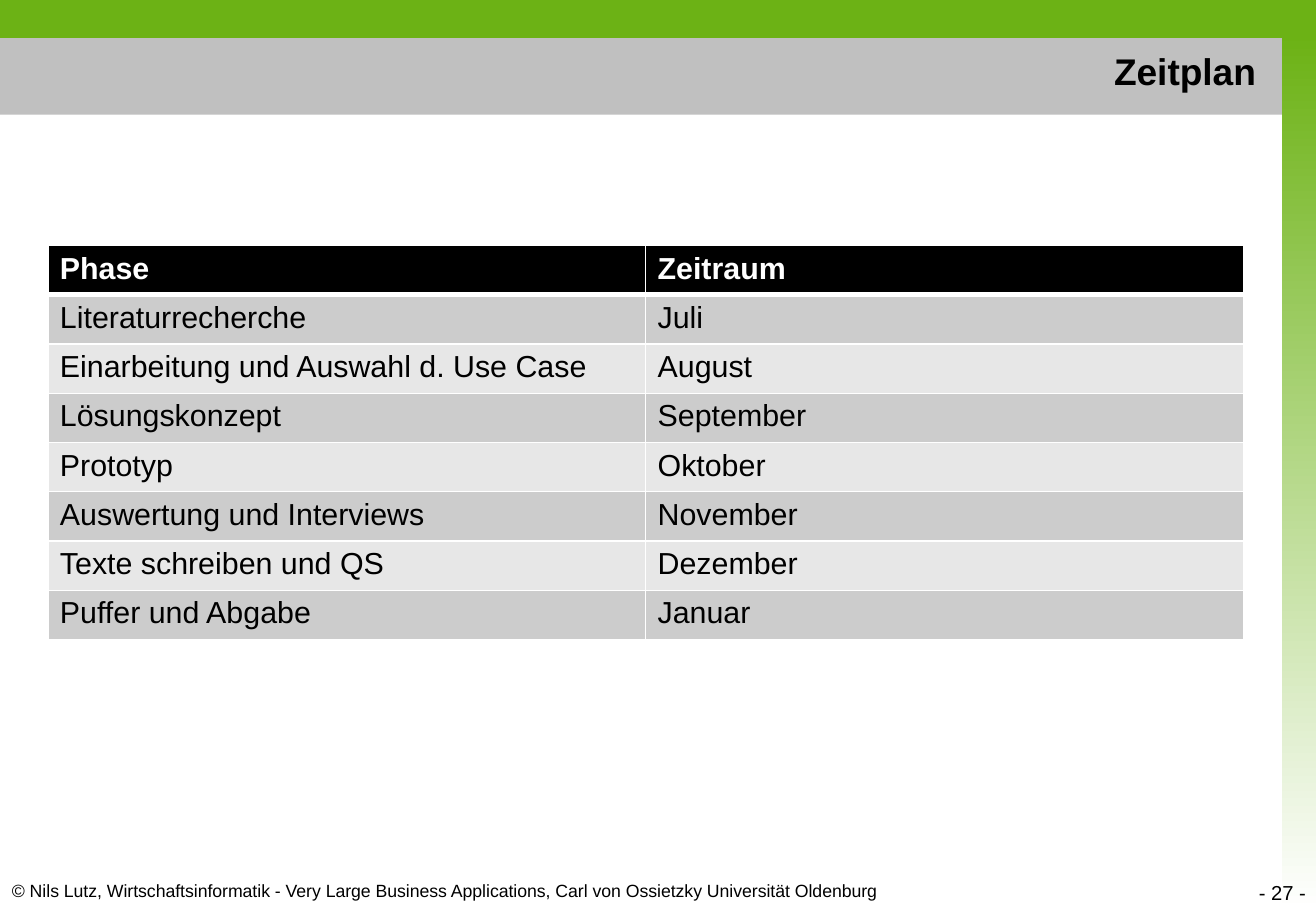
from lxml.etree import SubElement
from pptx import Presentation
from pptx.dml.color import RGBColor
from pptx.enum.shapes import MSO_SHAPE
from pptx.enum.text import MSO_ANCHOR, PP_ALIGN
from pptx.oxml.ns import qn
from pptx.util import Pt

COLORS = {
    "black": "000000",
    "white": "FFFFFF",
    "green": "6CB215",
    "title_bar": "C0C0C0",
    "dark_row": "CCCCCC",
    "light_row": "E7E7E7",
}
FONT = "Arial"
SCHEDULE = [
    ("Phase", "Zeitraum"),
    ("Literaturrecherche", "Juli"),
    ("Einarbeitung und Auswahl d. Use Case", "August"),
    ("Lösungskonzept", "September"),
    ("Prototyp", "Oktober"),
    ("Auswertung und Interviews", "November"),
    ("Texte schreiben und QS", "Dezember"),
    ("Puffer und Abgabe", "Januar"),
]


def rgb(name):
    return RGBColor.from_string(COLORS[name])


def place(shape, left, top, width, height):
    shape.left, shape.top = Pt(left), Pt(top)
    shape.width, shape.height = Pt(width), Pt(height)


def write(text_frame, text, size, color="black", bold=False, align=PP_ALIGN.LEFT):
    paragraph = text_frame.paragraphs[0]
    paragraph.text = text
    paragraph.alignment = align
    font = paragraph.font
    font.name, font.size, font.bold = FONT, Pt(size), bold
    font.color.rgb = rgb(color)


def add_bar(slide, left, top, width, height, color, fade_to=None):
    bar = slide.shapes.add_shape(
        MSO_SHAPE.RECTANGLE, Pt(left), Pt(top), Pt(width), Pt(height))
    bar.shadow.inherit = False
    bar.line.fill.background()
    if fade_to is None:
        bar.fill.solid()
        bar.fill.fore_color.rgb = rgb(color)
        return
    bar.fill.gradient()
    bar.fill.gradient_angle = 270
    for stop, position, name in zip(bar.fill.gradient_stops, (0, 1), (color, fade_to)):
        stop.position = position
        stop.color.rgb = rgb(name)


def add_label(slide, text, left, top, width, height, size, align=PP_ALIGN.LEFT):
    label = slide.shapes.add_textbox(Pt(left), Pt(top), Pt(width), Pt(height))
    label.text_frame.word_wrap = False
    write(label.text_frame, text, size, align=align)


def set_title(slide, text):
    title = slide.shapes.title
    place(title, 14.4, 25.2, 737.3, 33.8)
    title.text_frame.vertical_anchor = MSO_ANCHOR.MIDDLE
    write(title.text_frame, text, 22, bold=True, align=PP_ALIGN.RIGHT)
    # Bring the title in front of the bars
    slide.shapes.element.append(title.element)


def set_borders(cell, bottom_width):
    properties = cell._tc.get_or_add_tcPr()
    for side, width in (("L", 1), ("R", 1), ("T", 1), ("B", bottom_width)):
        line = SubElement(properties, qn(f"a:ln{side}"), w=str(Pt(width)))
        fill = SubElement(line, qn("a:solidFill"))
        SubElement(fill, qn("a:srgbClr"), val=COLORS["white"])


def add_schedule(slide, rows, left, top, width, row_height):
    table = slide.shapes.add_table(
        len(rows), len(rows[0]), Pt(left), Pt(top),
        Pt(width), Pt(row_height * len(rows))).table
    for row_index, texts in enumerate(rows):
        is_header = row_index == 0
        if is_header:
            fill_color = "black"
        else:
            fill_color = "dark_row" if row_index % 2 else "light_row"
        for column_index, text in enumerate(texts):
            cell = table.cell(row_index, column_index)
            set_borders(cell, 3 if row_index < 1 else 1)
            cell.fill.solid()
            cell.fill.fore_color.rgb = rgb(fill_color)
            write(cell.text_frame, text, 18,
                  color="white" if is_header else "black", bold=is_header)


def main():
    presentation = Presentation()
    presentation.slide_width, presentation.slide_height = Pt(780), Pt(540)
    slide = presentation.slides.add_slide(presentation.slide_layouts[5])

    # Frame: title bar, top bar and fading right bar
    add_bar(slide, 0, 22.5, 762.5, 45.5, "title_bar")
    add_bar(slide, 0, 0, 780, 22.5, "green")
    add_bar(slide, 760, 20, 20, 520, "green", fade_to="white")

    # Footer
    add_label(
        slide,
        "© Nils Lutz, Wirtschaftsinformatik - Very Large Business Applications, "
        "Carl von Ossietzky Universität Oldenburg",
        0, 517.7, 537.8, 20.2, 10.5)
    add_label(slide, "- 27 -", 728, 518.4, 53.2, 21.6, 12, PP_ALIGN.RIGHT)

    # Title and schedule
    set_title(slide, "Zeitplan")
    add_schedule(slide, SCHEDULE, 28.35, 145.5, 708.6, 29.2)

    presentation.save("out.pptx")


if __name__ == "__main__":
    main()
